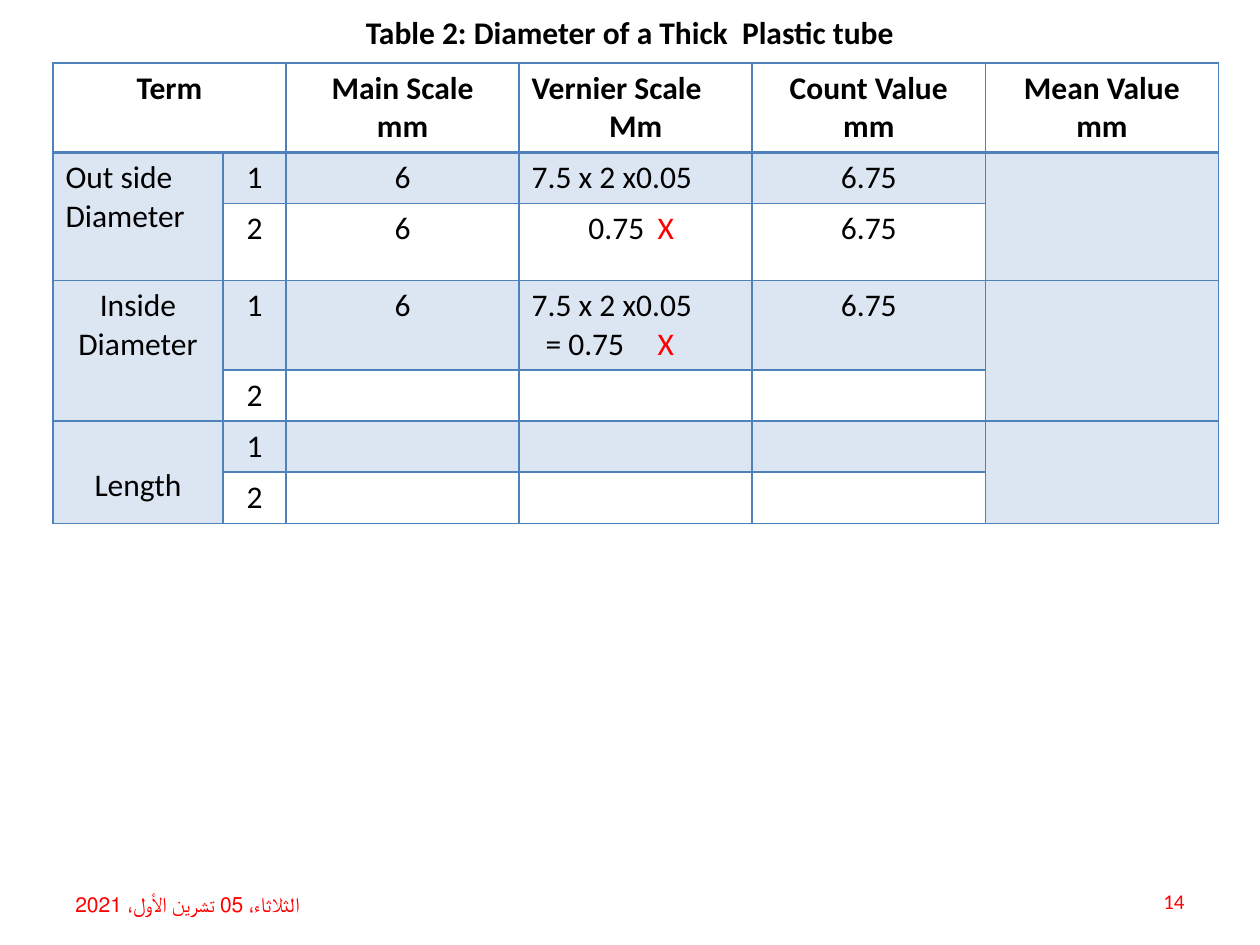
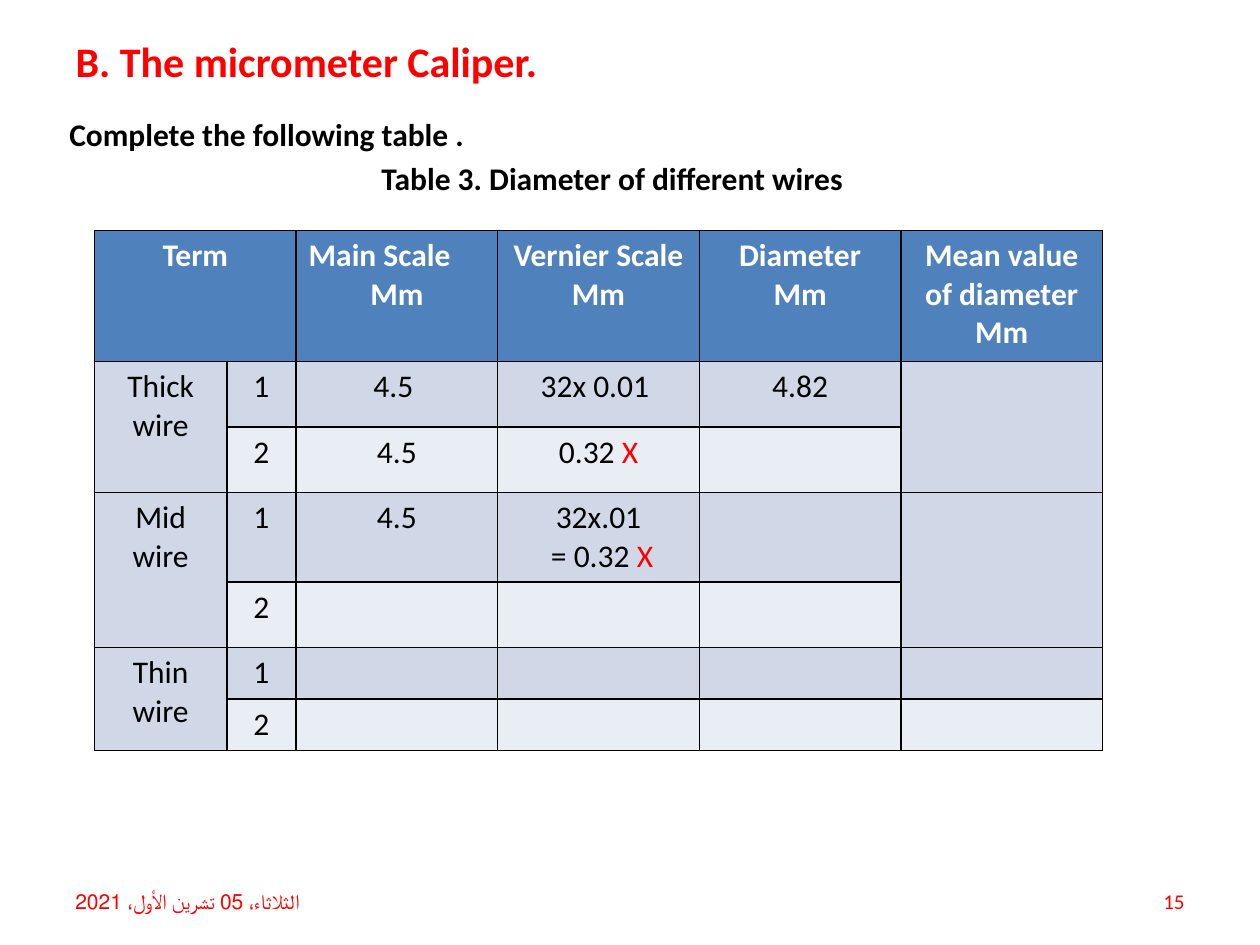
from dataclasses import dataclass, field

from lxml import etree
from pptx import Presentation
from pptx.dml.color import RGBColor
from pptx.enum.text import MSO_ANCHOR, PP_ALIGN
from pptx.oxml.ns import qn
from pptx.util import Inches, Pt

BLACK = RGBColor(0x00, 0x00, 0x00)
WHITE = RGBColor(0xFF, 0xFF, 0xFF)
RED = RGBColor(0xFF, 0x00, 0x00)
BLUE = RGBColor(0x4F, 0x81, 0xBD)
TINT = RGBColor(0xDC, 0xE6, 0xF2)
DARK_BAND = RGBColor(0xD0, 0xD8, 0xE8)
LIGHT_BAND = RGBColor(0xE9, 0xED, 0xF4)

FONT = "Calibri"
DATE = "الثلاثاء، 05 تشرين الأول، 2021"
WRONG = "X"
TITLE_ONLY, TITLE_AND_BODY = 5, 1


@dataclass
class Readings:
    rows: list
    columns: list
    heights: list
    line: RGBColor
    header_fill: RGBColor
    header_color: RGBColor
    bands: tuple
    mean_pairs: tuple
    header_rule: float = 1
    left_aligned: tuple = ()
    tabbed: dict = field(default_factory=dict)
    low_terms: tuple = ()


TUBE = Readings(
    rows=[
        ["Term", "", "Main Scale\nmm", "Vernier Scale\nMm", "Count Value\nmm", "Mean Value\nmm"],
        ["Out side\nDiameter", "1", "6", "7.5 x 2 x0.05", "6.75", ""],
        ["", "2", "6", "0.75\tX", "6.75", ""],
        ["Inside\nDiameter", "1", "6", "7.5 x 2 x0.05\n= 0.75\tX", "6.75", ""],
        ["", "2", "", "", "", ""],
        ["Length", "1", "", "", "", ""],
        ["", "2", "", "", "", ""],
    ],
    columns=[1.35, 0.5] + [1.85] * 4,
    heights=[0.71, 0.4, 0.61, 0.71, 0.4, 0.4, 0.4],
    line=BLUE, header_fill=None, header_color=BLACK, bands=(TINT, None),
    mean_pairs=(1, 3, 5), header_rule=2,
    left_aligned=("Vernier Scale", "Out side", "Out side\nDiameter", "7.5 x 2 x0.05"),
    tabbed={"0.75\tX": 0.45, "= 0.75\tX": 0.11},
    low_terms=("Length",),
)

WIRES = Readings(
    rows=[
        ["Term", "", "Main Scale\nMm", "Vernier Scale\nMm", "Diameter\nMm", "Mean value of diameter\nMm"],
        ["Thick\nwire", "1", "4.5 ", "32x 0.01 ", "4.82", ""],
        ["", "2", "4.5", "0.32 X", "", ""],
        ["Mid wire", "1", "4.5", "32x.01\n = 0.32 X", "", ""],
        ["", "2", "", "", "", ""],
        ["Thin\nwire", "1", "", "", "", ""],
        ["", "2", "", "", "", ""],
    ],
    columns=[1.05, 0.55] + [1.6] * 4,
    heights=[1.04, 0.52, 0.52, 0.71, 0.52, 0.41, 0.41],
    line=BLACK, header_fill=BLUE, header_color=WHITE, bands=(DARK_BAND, LIGHT_BAND),
    mean_pairs=(1, 3), left_aligned=("Main Scale",),
)


def set_font(paragraph, size, color, bold=False):
    font = paragraph.font
    font.name, font.size, font.bold = FONT, Pt(size), bold
    font.color.rgb = color


def place(shape, box):
    shape.left, shape.top, shape.width, shape.height = map(Inches, box)


def add_title(slide, box, text, size, color, align):
    title = slide.shapes.title
    place(title, box)
    title.text_frame.text = text
    title.text_frame.vertical_anchor = MSO_ANCHOR.MIDDLE
    paragraph = title.text_frame.paragraphs[0]
    paragraph.alignment = align
    set_font(paragraph, size, color, True)


def add_instructions(slide, box, lines):
    body = slide.placeholders[1]
    place(body, box)
    body.text_frame.text = "\n".join(text for text, _ in lines)
    for index, (_, align) in enumerate(lines):
        paragraph = body.text_frame.paragraphs[index]
        properties = paragraph._p.get_or_add_pPr()
        properties.set("marL", "0")
        properties.set("indent", "0")
        etree.SubElement(properties, qn("a:buNone"))
        paragraph.alignment = align
        paragraph.space_before = Pt(3.6 if index else 0)
        set_font(paragraph, 18, BLACK, True)


def add_footer(slide, date_box, number):
    entries = ((date_box, DATE, PP_ALIGN.LEFT),
               ((7.17, 6.95, 2.33, 0.4), number, PP_ALIGN.RIGHT))
    for box, text, align in entries:
        frame = slide.shapes.add_textbox(*map(Inches, box)).text_frame
        frame.word_wrap = True
        frame.vertical_anchor = MSO_ANCHOR.MIDDLE
        frame.text = text
        frame.paragraphs[0].alignment = align
        set_font(frame.paragraphs[0], 12, RED)


def add_border(cell, side, color, width):
    line = etree.SubElement(cell._tc.get_or_add_tcPr(), qn(f"a:ln{side}"), w=str(Pt(width)))
    fill = etree.SubElement(line, qn("a:solidFill"))
    etree.SubElement(fill, qn("a:srgbClr"), val=str(color))


def align_on_tab(paragraph, first_indent):
    properties = paragraph._p.get_or_add_pPr()
    properties.set("marL", "0")
    properties.set("indent", str(Inches(first_indent)))
    tabs = etree.SubElement(properties, qn("a:tabLst"))
    etree.SubElement(tabs, qn("a:tab"), pos=str(Inches(1.07)), algn="l")


def write_cell(cell, text, readings, is_header):
    frame = cell.text_frame
    for index, line in enumerate(text.split("\n")):
        paragraph = frame.add_paragraph() if index else frame.paragraphs[0]
        to_left = {line, text} & {*readings.left_aligned, *readings.tabbed}
        if line in readings.tabbed:
            align_on_tab(paragraph, readings.tabbed[line])
        paragraph.alignment = PP_ALIGN.LEFT if to_left else PP_ALIGN.CENTER
        set_font(paragraph, 18, readings.header_color if is_header else BLACK, is_header)
        value, mark, _ = line.partition(WRONG)
        if value:
            paragraph.add_run().text = value
        if mark:
            run = paragraph.add_run()
            run.text = mark
            run.font.color.rgb = RED
    if text in readings.low_terms:
        cell.margin_top = Inches(0.36)


def style_cell(cell, row, readings):
    for side in "LRTB":
        under_header = (row, side) in ((0, "B"), (1, "T"))
        add_border(cell, side, readings.line, readings.header_rule if under_header else 1)
    fill = readings.bands[(row - 1) % 2] if row else readings.header_fill
    if fill is None:
        cell.fill.background()
    else:
        cell.fill.solid()
        cell.fill.fore_color.rgb = fill


def add_readings(slide, left, top, readings):
    columns, heights = readings.columns, readings.heights
    table = slide.shapes.add_table(
        len(heights), len(columns), Inches(left), Inches(top),
        Inches(sum(columns)), Inches(sum(heights))).table
    table.first_row = table.horz_banding = False
    for column, width in zip(table.columns, columns):
        column.width = Inches(width)
    for row, height in zip(table.rows, heights):
        row.height = Inches(height)
    for r, texts in enumerate(readings.rows):
        for c, text in enumerate(texts):
            style_cell(table.cell(r, c), r, readings)
            write_cell(table.cell(r, c), text, readings, r == 0)
    table.cell(0, 0).merge(table.cell(0, 1))
    last = len(columns) - 1
    for c, starts in ((0, (1, 3, 5)), (last, readings.mean_pairs)):
        for r in starts:
            table.cell(r, c).merge(table.cell(r + 1, c))


def build_tube_slide(deck):
    slide = deck.slides.add_slide(deck.slide_layouts[TITLE_ONLY])
    add_title(slide, (0.5, 0, 9, 0.5), "Table 2: Diameter of a Thick  Plastic tube",
              18, BLACK, PP_ALIGN.CENTER)
    add_readings(slide, 0.42, 0.5, TUBE)
    add_footer(slide, (0.5, 7, 2.33, 0.35), "14")


def build_wires_slide(deck):
    slide = deck.slides.add_slide(deck.slide_layouts[TITLE_AND_BODY])
    add_title(slide, (0.5, 0.3, 9, 0.37), "B. The micrometer Caliper.",
              24, RED, PP_ALIGN.LEFT)
    add_instructions(slide, (0.45, 0.86, 8.82, 0.85), (
        ("Complete the following table .", PP_ALIGN.LEFT),
        ("Table 3. Diameter of different wires", PP_ALIGN.CENTER),
    ))
    add_footer(slide, (0.5, 6.95, 2.33, 0.4), "15")
    add_readings(slide, 0.75, 1.83, WIRES)


def main():
    deck = Presentation()
    deck.slide_width, deck.slide_height = Inches(10), Inches(7.5)
    build_tube_slide(deck)
    build_wires_slide(deck)
    deck.save("out.pptx")


if __name__ == "__main__":
    main()
